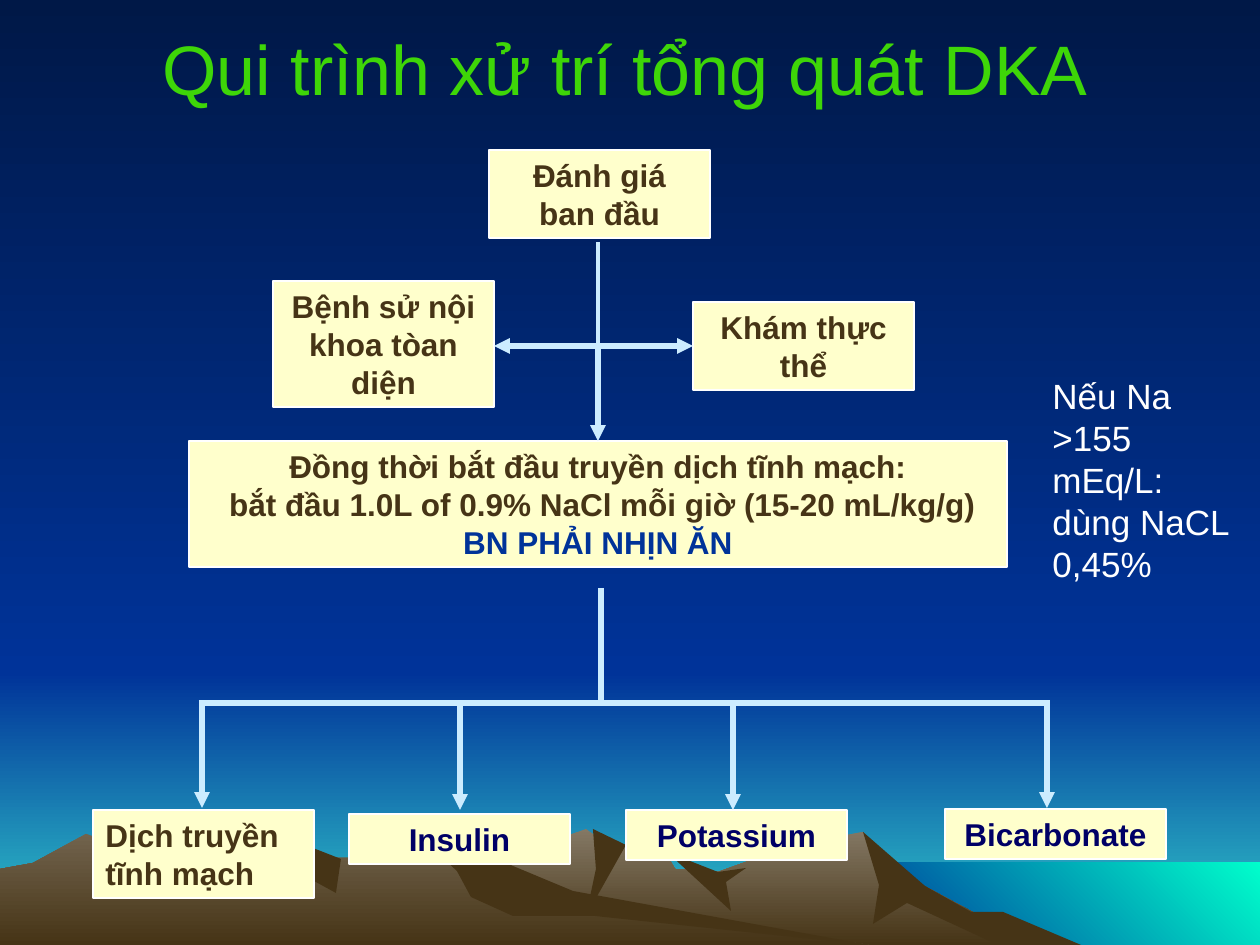
"""Build the DKA general management flowchart slide."""
import dataclasses

import lxml.etree
import pptx
import pptx.dml.color
import pptx.enum.shapes
import pptx.enum.text
import pptx.oxml.ns
import pptx.util


@dataclasses.dataclass(frozen=True)
class Theme:
    font: str = "Arial"
    night: str = "001847"
    blue: str = "003399"
    horizon: str = "33CCCC"
    lagoon: str = "00FFCC"
    rock: str = "847864"
    slope: str = "73654F"
    brown: str = "463416"
    green: str = "3ED608"
    cream: str = "FFFFCC"
    navy: str = "000066"
    ice: str = "CCECFF"
    white: str = "FFFFFF"
    title_size: int = 40
    note_size: int = 20
    box_size: int = 18


THEME = Theme()
SCALE = 914400 / 126
WIDTH, HEIGHT = 1260, 945
HORIZON, SHORE = 672, 862
BOX_WIDTH, LINE_HEIGHT, BOX_PADDING = 221, 38, 12
AXIS, CROSSING, BRANCHING, DROP = 598, 346, 703, 105
RGB = pptx.dml.color.RGBColor.from_string
ALIGN = pptx.enum.text.PP_ALIGN
ANCHOR = pptx.enum.text.MSO_ANCHOR
RECTANGLE = pptx.enum.shapes.MSO_SHAPE.RECTANGLE
STRAIGHT = pptx.enum.shapes.MSO_CONNECTOR.STRAIGHT


def write(box, text, size=THEME.box_size, colors=(THEME.brown,), bold=False,
          align=ALIGN.CENTER, anchor=ANCHOR.TOP):
    frame = box.text_frame
    frame.word_wrap = True
    frame.vertical_anchor = anchor
    for index, line in enumerate(text.split("\n")):
        para = frame.paragraphs[0] if index == 0 else frame.add_paragraph()
        para.alignment = align
        span = para.add_run()
        span.text = line
        span.font.name = THEME.font
        span.font.size = pptx.util.Pt(size)
        span.font.bold = bold
        span.font.color.rgb = RGB(colors[min(index, len(colors) - 1)])


def paint(fill, colors, angle=270):
    if len(colors) == 1:
        fill.solid()
        fill.fore_color.rgb = RGB(colors[0])
        return
    fill.gradient()
    fill.gradient_angle = angle
    for stop, color in zip(fill.gradient_stops, colors):
        stop.color.rgb = RGB(color)


deck = pptx.Presentation()
deck.slide_width = round(WIDTH * SCALE)
deck.slide_height = round(HEIGHT * SCALE)
page = deck.slides.add_slide(deck.slide_layouts[6])
paint(page.background.fill, (THEME.night, THEME.blue))

bands = [
    ((0, HORIZON, WIDTH, HEIGHT - HORIZON), (THEME.blue, THEME.horizon), 270),
    ((0, 0, WIDTH, HORIZON), (THEME.night, THEME.blue), 270),
    ((861, SHORE, WIDTH - 861, HEIGHT - SHORE), (THEME.blue, THEME.lagoon), 45),
]
for place, colors, angle in bands:
    band = page.shapes.add_shape(RECTANGLE, *(round(value * SCALE) for value in place))
    band.shadow.inherit = False
    band.line.fill.background()
    paint(band.fill, colors, angle)

mountains = [
    ((THEME.rock, THEME.brown), [
        (325, HEIGHT), (447, 879), (586, 829), (612, 848), (663, 848), (675, 869),
        (718, 872), (793, 845), (863, 832), (911, 879), (1034, HEIGHT)]),
    ((THEME.brown,), [
        (863, 832), (925, 886), (971, 912), (1003, 912), (1081, HEIGHT), (998, HEIGHT),
        (907, 903), (873, 924), (879, 885)]),
    ((THEME.brown,), [(593, 829), (626, 845), (586, 916), (596, 869)]),
    ((THEME.brown,), [(667, 852), (718, 872), (746, 868), (726, 882), (731, 911)]),
    ((THEME.slope, THEME.brown), [
        (0, HEIGHT), (0, 869), (33, 863), (86, 834), (118, 845), (202, 845), (248, 829),
        (281, 835), (297, 858), (352, 858), (401, 837), (446, 838), (544, 897),
        (869, HEIGHT)]),
    ((THEME.brown,), [(267, 830), (341, 859), (336, 893), (292, 869)]),
    ((THEME.brown,), [
        (427, 843), (446, 838), (573, 891), (869, HEIGHT), (595, 916), (513, 916),
        (471, 897), (457, 871)]),
]
for colors, points in mountains:
    outline = page.shapes.build_freeform(*points[0], scale=SCALE)
    outline.add_line_segments(points[1:], close=True)
    mountain = outline.convert_to_shape()
    mountain.shadow.inherit = False
    mountain.line.fill.background()
    paint(mountain.fill, colors)

title = page.shapes.add_textbox(*(round(value * SCALE) for value in (42, 0, 1166, 136)))
write(title, "Qui trình xử trí tổng quát DKA", size=THEME.title_size,
      colors=(THEME.green,), anchor=ANCHOR.MIDDLE)

infusion = ("Đồng thời bắt đầu truyền dịch tĩnh mạch:\n"
            " bắt đầu 1.0L of 0.9% NaCl mỗi giờ (15-20 mL/kg/g)\n"
            "BN PHẢI NHỊN ĂN")
examination = "Khám thực thể"
drug = {"colors": (THEME.navy,)}
steps = [
    ("Đánh giá ban đầu", 489, 150, BOX_WIDTH, 2, {}),
    ("Dịch truyền tĩnh mạch", 93, 810, BOX_WIDTH, 2, {"align": ALIGN.LEFT}),
    ("Insulin", 349, 814, BOX_WIDTH, 1, drug),
    ("Potassium", 626, 810, BOX_WIDTH, 1, drug),
    ("Bicarbonate", 945, 809, BOX_WIDTH, 1, drug),
    (infusion, 189, 441, 818, 3, {"colors": (THEME.brown, THEME.brown, THEME.blue)}),
    ("Bệnh sử nội khoa tòan diện", 273, 281, BOX_WIDTH, 3, {}),
    (examination, 693, 302, BOX_WIDTH, 2, {}),
]
boxes = {}
for text, left, top, width, lines, style in steps:
    place = (left, top, width, BOX_PADDING + lines * LINE_HEIGHT)
    box = page.shapes.add_shape(RECTANGLE, *(round(value * SCALE) for value in place))
    box.shadow.inherit = False
    paint(box.fill, (THEME.cream,))
    box.line.color.rgb = RGB(THEME.white)
    box.line.width = pptx.util.Pt(1.5)
    write(box, text, bold=True, **style)
    boxes[text] = box

links = [
    ((494, CROSSING, 693, CROSSING), 3, ("headEnd", "tailEnd"), (examination, 1)),
    ((AXIS, CROSSING, AXIS, 441), 3, ("tailEnd",), (infusion, 0)),
    ((199, BRANCHING, 1050, BRANCHING), 3, (), None),
    ((601, 588, 601, BRANCHING), 3, (), None),
    ((AXIS, 242, AXIS, 368), 2.25, (), None),
]
for x, y in ((202, BRANCHING), (460, 705), (733, 705), (1047, BRANCHING)):
    links.append(((x, y, x, y + DROP), 3, ("tailEnd",), None))
for ends, weight, arrowheads, target in links:
    link = page.shapes.add_connector(STRAIGHT, *(round(value * SCALE) for value in ends))
    link.line.color.rgb = RGB(THEME.ice)
    link.line.width = pptx.util.Pt(weight)
    stroke = link.line._get_or_add_ln()
    for arrowhead in arrowheads:
        lxml.etree.SubElement(stroke, pptx.oxml.ns.qn("a:" + arrowhead), type="triangle")
    lxml.etree.SubElement(link._element.spPr, pptx.oxml.ns.qn("a:effectLst"))
    if target:
        link.end_connect(boxes[target[0]], target[1])

note = page.shapes.add_textbox(*(round(value * SCALE) for value in (1040, 368, 220, 223)))
write(note, "Nếu Na >155 mEq/L: dùng NaCL 0,45%", size=THEME.note_size,
      colors=(THEME.white,), align=ALIGN.LEFT)

deck.save("out.pptx")
